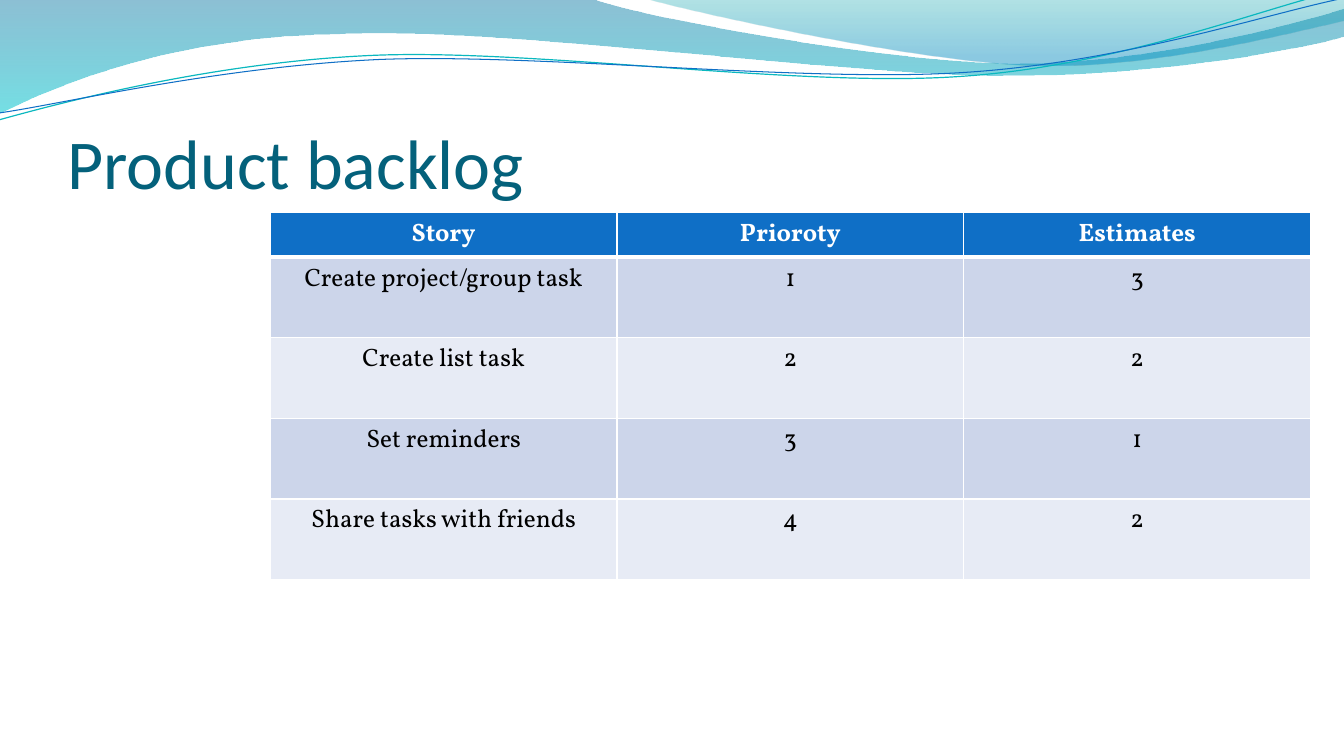
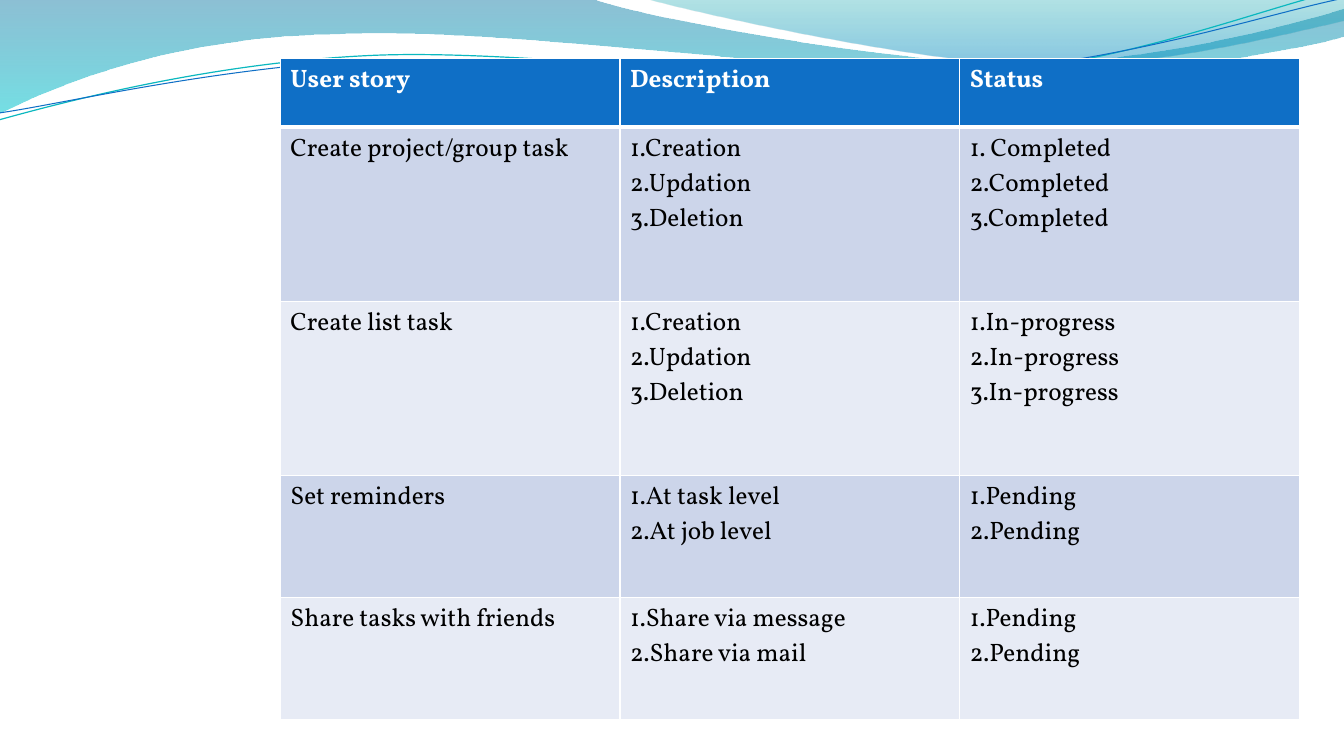
from dataclasses import dataclass
from math import cos, radians, sin

from lxml import etree
from pptx import Presentation
from pptx.dml.color import RGBColor
from pptx.enum.text import MSO_ANCHOR, PP_ALIGN
from pptx.oxml.ns import qn
from pptx.util import Inches, Pt

LEFT, CENTER = PP_ALIGN.LEFT, PP_ALIGN.CENTER
BOTTOM = MSO_ANCHOR.BOTTOM


@dataclass(frozen=True)
class Theme:
    title: str = "04617B"
    head: str = "0F6FC6"
    teal: str = "0AB8BF"
    white: str = "FFFFFF"
    ink: str = "000000"
    bands: tuple = ("CCD5EA", "E7EBF5")
    deep: tuple = ((0, "0074A1", 45), (1, "00C6CF", 55))
    light: tuple = ((0, "00A1A9", 30), (0.8, "008BBF", 45))
    sans: str = "Calibri"
    serif: str = "Vollkorn"
    large: int = 50
    body: int = 18
    thin: int = 1
    thick: int = 3
    tilt: float = -2.7


THEME = Theme()

WAVE = [(0, 0), (5.87, -0.01), (6.34, 0.17, 8.85, 0.63, 10.11, 0.63),
        (11.38, 0.63, 12.78, 0.26, 13.33, 0.09), (13.35, 0.36),
        (13.11, 0.44, 11.6, 0.76, 9.94, 0.75),
        (8.29, 0.75, 5.09, 0.28, 3.43, 0.34),
        (1.72, 0.36, 0.61, 0.83, -0.01, 1.13), (0, 0)]
CREST = [(6.39, -0.01), (6.79, 0.11, 9.09, 0.62, 10.25, 0.65),
         (11.41, 0.69, 12.82, 0.32, 13.33, 0.21), (13.33, 0),
         (6.39, -0.01)]
UPPER = [(-0.01, 1.19), (0.64, 1.01, 2.11, 0.62, 3.69, 0.55),
         (5.27, 0.48, 7.9, 0.87, 9.5, 0.76),
         (11.1, 0.66, 12.52, 0.08, 13.31, -0.1)]
LOWER = [(0, 1.12), (0.63, 1.03, 2.18, 0.66, 3.78, 0.59),
         (5.37, 0.53, 7.96, 0.82, 9.55, 0.72),
         (11.15, 0.62, 12.55, 0.14, 13.34, -0.02)]

BACKLOG = [("Story", "Prioroty", "Estimates"),
           ("Create project/group task", "1", "3"),
           ("Create list task", "2", "2"),
           ("Set reminders", "3", "1"),
           ("Share tasks with friends", "4", "2")]
EDITS = "1.Creation\n2.Updation\n3.Deletion"
PENDING = "1.Pending\n2.Pending"
STATUS = [("User story", "Description", "Status"),
          ("Create project/group task", EDITS,
           "1. Completed\n2.Completed\n3.Completed"),
          ("Create list task", EDITS,
           "1.In-progress\n2.In-progress\n3.In-progress"),
          ("Set reminders", "1.At task level\n2.At job level", PENDING),
          ("Share tasks with friends",
           "1.Share via message\n2.Share via mail", PENDING)]


def rgb(code):
    return RGBColor.from_string(code)


def write(frame, text, font=THEME.serif, size=THEME.body, color=THEME.ink,
          bold=False, align=LEFT):
    for i, line in enumerate(text.split("\n")):
        para = frame.add_paragraph() if i else frame.paragraphs[0]
        para.alignment = align
        run = para.add_run()
        run.text = line
        run.font.name = font
        run.font.size = Pt(size)
        run.font.bold = bold
        run.font.color.rgb = rgb(color)


def turn(points, angle):
    mid_x = (points[0][0] + points[-1][0]) / 2
    mid_y = (points[0][1] + points[-1][1]) / 2
    c, s = cos(radians(angle)), sin(radians(angle))
    return [(mid_x + (x - mid_x) * c - (y - mid_y) * s,
             mid_y + (x - mid_x) * s + (y - mid_y) * c) for x, y in points]


def curve(shape, parts):
    lines = shape.element.spPr.iter(qn("a:lnTo"))
    lines = iter(list(lines))
    for part in parts[1:]:
        first = next(lines)
        if len(part) == 2:
            continue
        bend = etree.Element(qn("a:cubicBezTo"))
        first.addprevious(bend)
        for line in (first, next(lines), next(lines)):
            bend.append(line[0])
            line.getparent().remove(line)


def outline(slide, box, parts, close=False, tilt=0):
    points = [part[i:i + 2] for part in parts for i in range(0, len(part), 2)]
    points = [(Inches(box[0] + x), Inches(box[1] + y))
              for x, y in turn(points, -tilt)]
    pen = slide.shapes.build_freeform(*points[0], scale=1.0)
    pen.add_line_segments(points[1:], close=close)
    shape = pen.convert_to_shape()
    curve(shape, parts)
    shape.rotation = tilt
    shape.shadow.inherit = False
    return shape


def fade(shape, stops):
    shape.line.fill.background()
    shape.fill.gradient()
    shape.fill.gradient_angle = 270
    for stop, (place, color, _) in zip(shape.fill.gradient_stops, stops):
        stop.position = place
        stop.color.rgb = rgb(color)
    tints = shape.element.spPr.iter(qn("a:srgbClr"))
    for tint, (_, _, alpha) in zip(list(tints), stops):
        etree.SubElement(tint, qn("a:alpha")).set("val", str(alpha * 1000))


def waves(slide, box):
    shapes = []
    for parts, stops in ((WAVE, THEME.deep), (CREST, THEME.light)):
        shape = outline(slide, box, parts, close=True)
        fade(shape, stops)
        shapes.append(shape)
    for parts, color, width in ((UPPER, THEME.teal, 0.85),
                                (LOWER, THEME.head, 0.75)):
        shape = outline(slide, box, parts, tilt=THEME.tilt)
        shape.fill.background()
        shape.line.color.rgb = rgb(color)
        shape.line.width = Pt(width)
        shapes.append(shape)
    return shapes


def share(layout, shapes):
    for holder in list(layout.placeholders):
        holder.element.getparent().remove(holder.element)
    for shape in shapes:
        layout.shapes.element.append(shape.element)


def title(slide, box, text):
    frame = slide.shapes.add_textbox(*map(Inches, box)).text_frame
    frame.word_wrap = True
    frame.vertical_anchor = BOTTOM
    frame.margin_left = frame.margin_right = frame.margin_bottom = 0
    frame.margin_top = Inches(0.05)
    write(frame, text, font=THEME.sans, size=THEME.large, color=THEME.title)


def border(cell, top, bottom):
    props = cell._tc.get_or_add_tcPr()
    sides = (("L", THEME.thin), ("R", THEME.thin), ("T", top), ("B", bottom))
    for i, (side, width) in enumerate(sides):
        line = etree.Element(qn("a:ln" + side), w=str(Pt(width)))
        fill = etree.SubElement(line, qn("a:solidFill"))
        etree.SubElement(fill, qn("a:srgbClr")).set("val", THEME.white)
        props.insert(i, line)


def grid(slide, box, rows, heights, align=LEFT):
    left, top, width = box
    frame = slide.shapes.add_table(len(rows), len(rows[0]), Inches(left),
                                   Inches(top), Inches(width),
                                   Inches(sum(heights)))
    table = frame.table
    table.horz_banding = False
    for col in table.columns:
        col.width = Inches(width / len(rows[0]))
    for r, texts in enumerate(rows):
        table.rows[r].height = Inches(heights[r])
        head = r == 0
        for c, text in enumerate(texts):
            cell = table.cell(r, c)
            cell.fill.solid()
            cell.fill.fore_color.rgb = rgb(
                THEME.head if head else THEME.bands[(r - 1) % 2])
            border(cell, THEME.thick if r == 1 else THEME.thin,
                   THEME.thick if head else THEME.thin)
            write(cell.text_frame, text, bold=head, align=align,
                  color=THEME.white if head else THEME.ink)


def main():
    deck = Presentation()
    deck.slide_width, deck.slide_height = Inches(13.33), Inches(7.5)
    blank = deck.slide_layouts[6]

    slide = deck.slides.add_slide(blank)
    share(blank, waves(slide, (0, 0)))
    title(slide, (0.67, 0.77, 12, 1.25), "Product backlog")
    grid(slide, (2.68, 2.11, 10.32), BACKLOG, [0.44] + [0.8] * 4, CENTER)

    slide = deck.slides.add_slide(blank)
    grid(slide, (2.78, 0.58, 10.11), STATUS, [0.68, 1.73, 1.73, 1.21, 1.21])

    deck.save("out.pptx")


if __name__ == "__main__":
    main()
